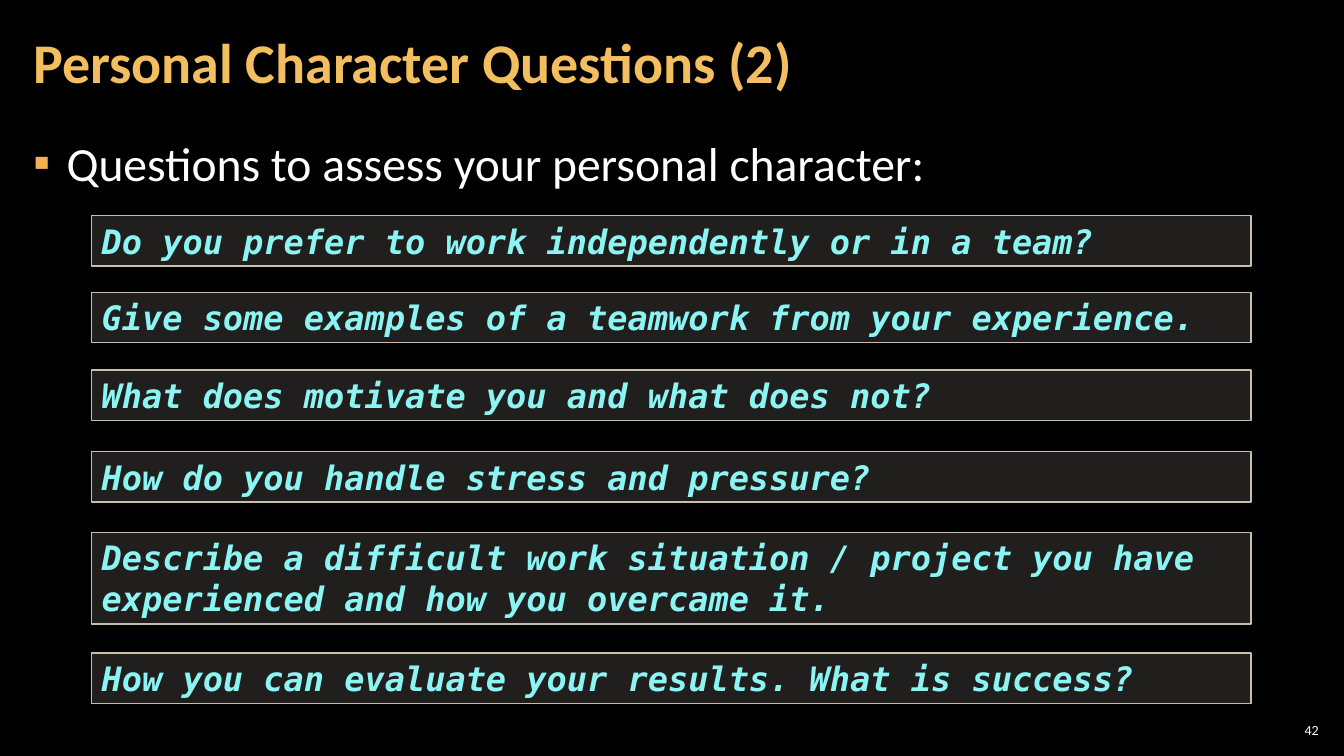
from lxml import etree
from pptx import Presentation
from pptx import util as u
from pptx.dml.color import RGBColor
from pptx.enum import shapes, text
from pptx.oxml import ns


def color(value):
    return RGBColor.from_string(value)


def add_element(parent, tag, **attributes):
    return etree.SubElement(parent, ns.qn(tag), attributes)


class Deck:
    FONT = "Calibri"
    CODE_FONT = "DejaVu Sans Mono"
    BACKGROUND = "000000"
    TITLE = "F3BE60"
    TEXT = "FFFFFF"
    BULLET = "F2B254"
    QUESTION = "8CF4F2"
    BOX_FILL = "D9D5C7"
    BOX_LINE = "C7BFAC"

    def __init__(self):
        self.prs = Presentation()
        self.prs.slide_width = u.Inches(13.33)
        self.prs.slide_height = u.Inches(7.5)
        self.s = self.prs.slides.add_slide(self.prs.slide_layouts[6])
        fill = self.s.background.fill
        fill.solid()
        fill.fore_color.rgb = color(self.BACKGROUND)

    def set_text(self, sp, content, size, hue, frame=None, para=None, **font):
        tf = sp.text_frame
        p = tf.paragraphs[0]
        r = p.add_run()
        r.text = content
        r.font.color.rgb = color(hue)
        formats = (
            (tf, {"word_wrap": True, **(frame or {})}),
            (p, {"alignment": text.PP_ALIGN.LEFT, **(para or {})}),
            (r.font, {"name": self.FONT, "size": u.Pt(size), **font}),
        )
        for target, values in formats:
            for name, value in values.items():
                setattr(target, name, value)
        return p

    def label(self, box, content, size, hue, side=0.12,
              anchor=text.MSO_ANCHOR.MIDDLE, para=None, **font):
        sp = self.s.shapes.add_textbox(*map(u.Inches, box))
        frame = {
            "margin_left": u.Inches(side),
            "margin_right": u.Inches(side),
            "margin_top": u.Inches(0.04),
            "margin_bottom": u.Inches(0.04),
            "vertical_anchor": anchor,
        }
        return self.set_text(sp, content, size, hue, frame, para, **font)

    def title(self, content):
        self.label((0.21, 0.04, 10.47, 1.21), content, 40, self.TITLE,
                   para={"line_spacing": 0.9}, bold=True)

    def bullet(self, content):
        p = self.label((0.21, 1.26, 12.91, 6.09), content, 34, self.TEXT,
                       anchor=text.MSO_ANCHOR.TOP,
                       para={"line_spacing": 1.05, "space_after": u.Pt(6)})
        props = p._p.get_or_add_pPr()
        indent = u.Inches(0.33)
        props.set("marL", str(indent))
        props.set("indent", str(-indent))
        add_element(add_element(props, "a:buClr"), "a:srgbClr", val=self.BULLET)
        add_element(props, "a:buFont", typeface=self.FONT)
        add_element(props, "a:buChar", char="▪")

    def question(self, top, height, content):
        box = map(u.Inches, (0.91, top, 11.5, height))
        sp = self.s.shapes.add_shape(shapes.MSO_SHAPE.RECTANGLE, *box)
        sp.shadow.inherit = False
        sp.fill.solid()
        sp.fill.fore_color.rgb = color(self.BOX_FILL)
        tint = sp._element.spPr.find(ns.qn("a:solidFill"))[0]
        add_element(tint, "a:alpha", val="15000")
        sp.line.color.rgb = color(self.BOX_LINE)
        sp.line.width = u.Pt(1)
        frame = {
            "auto_size": text.MSO_AUTO_SIZE.SHAPE_TO_FIT_TEXT,
            "vertical_anchor": text.MSO_ANCHOR.TOP,
        }
        self.set_text(sp, content, 24, self.QUESTION, frame,
                      name=self.CODE_FONT, bold=True, italic=True)

    def page_number(self, number):
        self.label((12.65, 7.14, 0.47, 0.21), number, 10, self.TEXT, side=0.04,
                   para={"alignment": text.PP_ALIGN.RIGHT})


QUESTIONS = (
    (2.14, 0.5, "Do you prefer to work independently or in a team?"),
    (2.9, 0.5, "Give some examples of a teamwork from your experience."),
    (3.67, 0.5, "What does motivate you and what does not?"),
    (4.48, 0.5, "How do you handle stress and pressure?"),
    (5.28, 0.91, "Describe a difficult work situation / project you have "
                 "experienced and how you overcame it."),
    (6.48, 0.5, "How you can evaluate your results. What is success?"),
)


def main():
    deck = Deck()
    deck.page_number("42")
    deck.bullet("Questions to assess your personal character:")
    deck.title("Personal Character Questions (2)")
    for top, height, content in QUESTIONS:
        deck.question(top, height, content)
    deck.prs.save("out.pptx")


if __name__ == "__main__":
    main()
